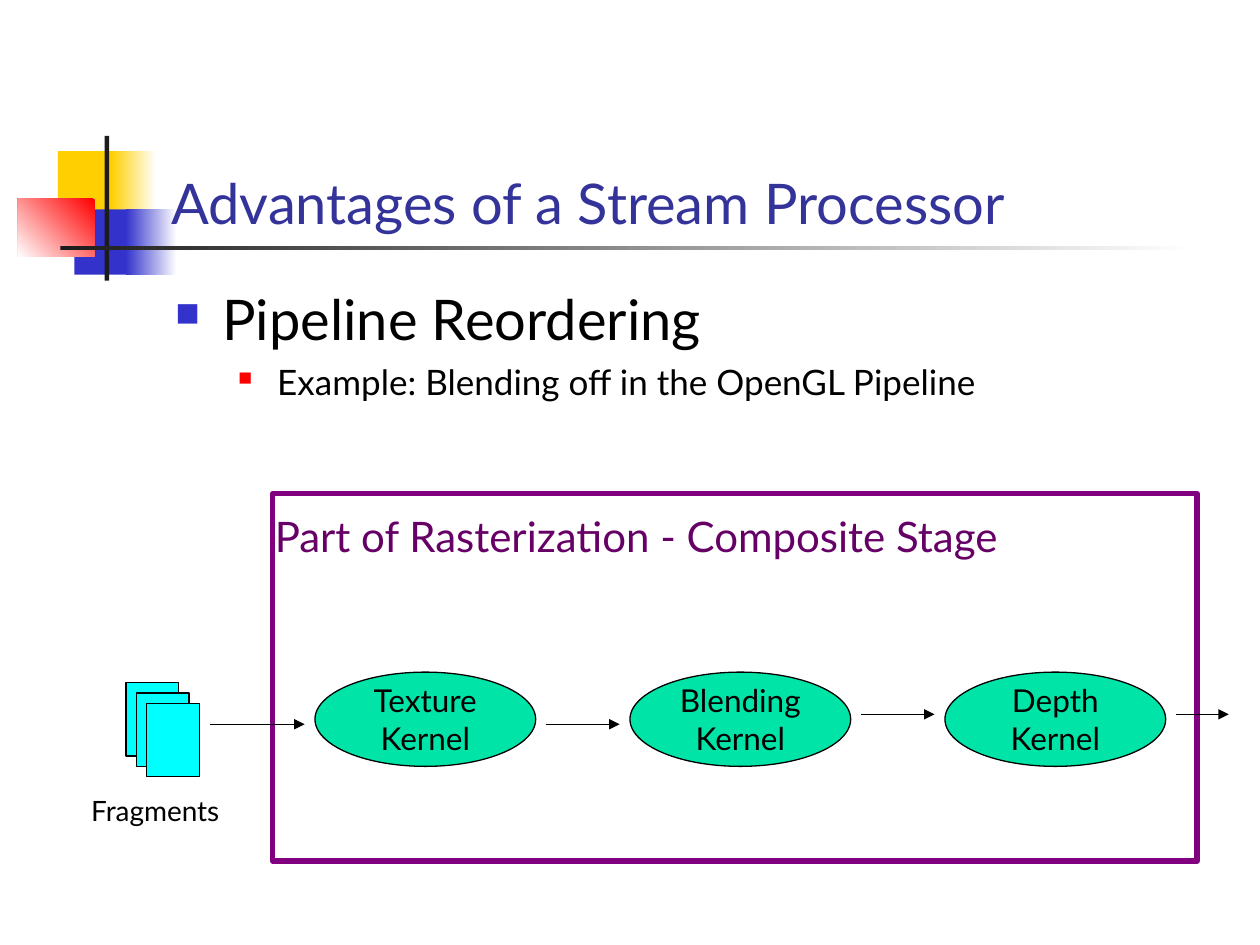
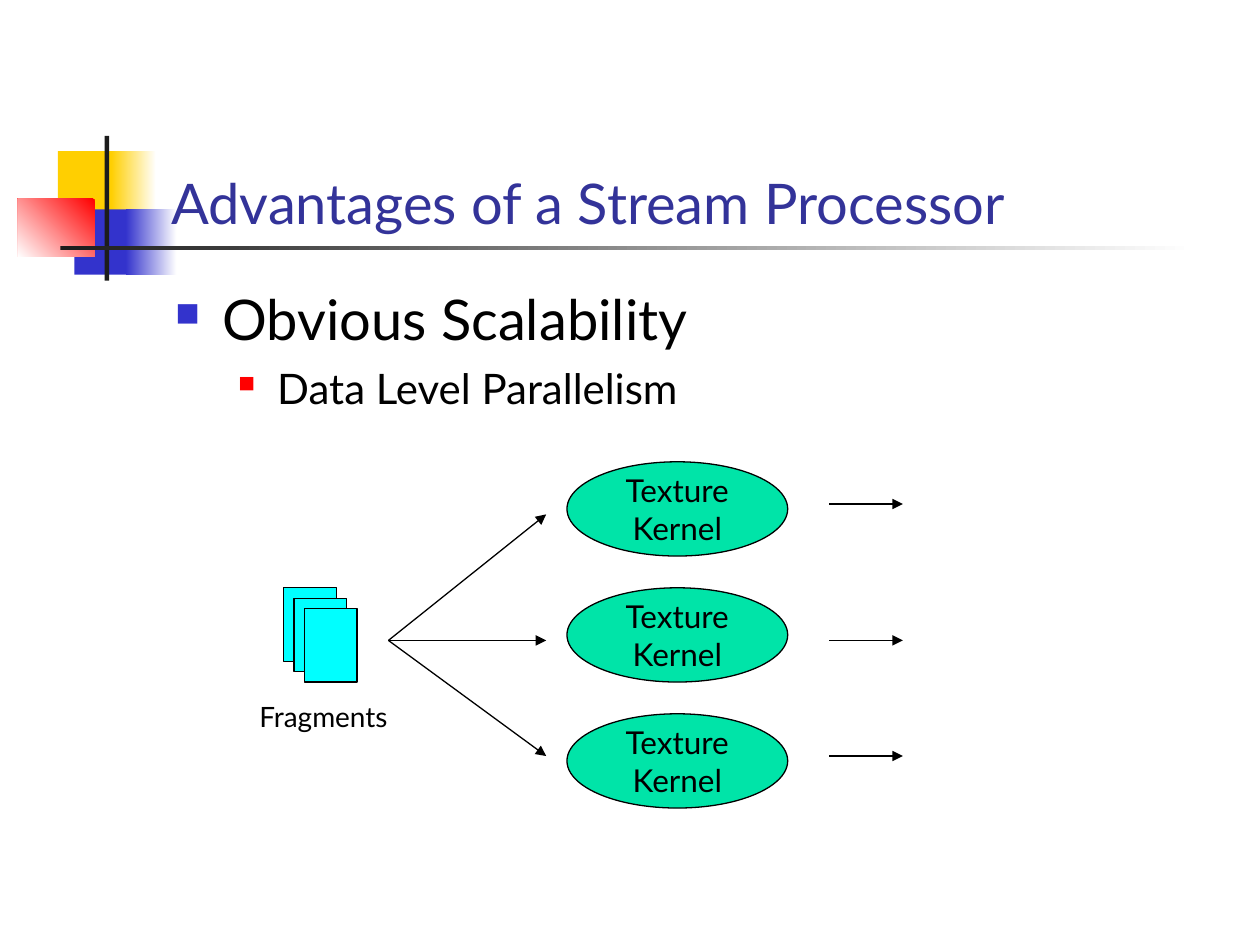
from lxml import etree
from pptx import Presentation
from pptx.dml.color import RGBColor
from pptx.enum.shapes import MSO_CONNECTOR, MSO_SHAPE
from pptx.enum.text import MSO_ANCHOR, PP_ALIGN
from pptx.oxml.ns import qn
from pptx.util import Cm, Pt

RECTANGLE, ELLIPSE = MSO_SHAPE.RECTANGLE, MSO_SHAPE.OVAL
STRAIGHT = MSO_CONNECTOR.STRAIGHT
LEFT, CENTER = PP_ALIGN.LEFT, PP_ALIGN.CENTER
TOP, MIDDLE, BOTTOM = MSO_ANCHOR.TOP, MSO_ANCHOR.MIDDLE, MSO_ANCHOR.BOTTOM

WHITE = RGBColor(0xFF, 0xFF, 0xFF)
BLACK = RGBColor(0x00, 0x00, 0x00)
YELLOW = RGBColor(0xFF, 0xCF, 0x01)
BLUE = RGBColor(0x33, 0x33, 0xCC)
RED = RGBColor(0xFF, 0x00, 0x00)
CHARCOAL = RGBColor(0x1C, 0x1C, 0x1C)
TITLE_BLUE = RGBColor(0x33, 0x33, 0x99)
FRAME_PURPLE = RGBColor(0x80, 0x00, 0x80)
CAPTION_PURPLE = RGBColor(0x66, 0x00, 0x66)
KERNEL_GREEN = RGBColor(0x00, 0xE4, 0xA8)
PAGE_CYAN = RGBColor(0x00, 0xFF, 0xFF)

FONT = "Lato"
TITLE = "Advantages of a Stream Processor"
KERNEL_WIDTH, KERNEL_HEIGHT = 4.45, 1.9

# Left, top, width, height, colour, angle of the fade to white (None: solid)
ORNAMENT = [
    (1.17, 3.05, 1.22, 1.32, YELLOW, None),
    (2.24, 3.05, 0.91, 1.32, YELLOW, 0),
    (1.5, 4.22, 1.17, 1.32, BLUE, None),
    (2.54, 4.22, 1.02, 1.32, BLUE, 0),
    (0.36, 4.01, 1.55, 1.17, RED, 225),
    (2.11, 2.74, 0.09, 2.92, CHARCOAL, None),
    (1.22, 4.95, 22.86, 0.09, CHARCOAL, 0),
]


def write(paragraph, text, size=18, color=BLACK, align=LEFT, space_before=0):
    paragraph.alignment = align
    paragraph.space_before = Pt(space_before)
    run = paragraph.add_run()
    run.text = text
    run.font.name = FONT
    run.font.size = Pt(size)
    run.font.color.rgb = color


def add_bullet(paragraph, color, percent, margin, hanging):
    properties = paragraph._p.get_or_add_pPr()
    properties.set("marL", str(Cm(margin)))
    properties.set("indent", str(-Cm(hanging)))
    bullet_color = etree.SubElement(properties, qn("a:buClr"))
    etree.SubElement(bullet_color, qn("a:srgbClr"), val=str(color))
    etree.SubElement(properties, qn("a:buSzPct"), val=str(percent * 1000))
    etree.SubElement(properties, qn("a:buChar"), char="■")


class Deck:
    def __init__(self):
        self.presentation = Presentation()
        self.presentation.slide_width = Cm(25.4)
        self.presentation.slide_height = Cm(19.05)
        self.shapes = None

    def slide(self, heading, detail, detail_size, detail_space):
        """Start a slide with the ornament, title and two bullet levels."""
        blank = self.presentation.slide_layouts[6]
        self.shapes = self.presentation.slides.add_slide(blank).shapes
        for left, top, width, height, color, angle in ORNAMENT:
            self.box(RECTANGLE, left, top, width, height, color, fade=angle)
        self.text(3.2, 1.7, 21.64, 3.18, TITLE, anchor=BOTTOM, size=32, color=TITLE_BLUE)

        body = self.text(3.28, 5.61, 21.59, 11.43)
        first = body.paragraphs[0]
        add_bullet(first, BLUE, 60, margin=0.95, hanging=0.95)
        write(first, heading, size=32)
        second = body.add_paragraph()
        second.level = 1
        add_bullet(second, RED, 55, margin=2.06, hanging=0.79)
        write(second, detail, size=detail_size, space_before=detail_space)

    def box(self, kind, left, top, width, height, color, line=None, line_width=0.75, fade=None):
        shape = self.shapes.add_shape(kind, Cm(left), Cm(top), Cm(width), Cm(height))
        shape.shadow.inherit = False
        if fade is None:
            shape.fill.solid()
            shape.fill.fore_color.rgb = color
        else:
            shape.fill.gradient()
            shape.fill.gradient_angle = fade
            for stop, stop_color in zip(shape.fill.gradient_stops, (color, WHITE)):
                stop.color.rgb = stop_color
        if line is None:
            shape.line.fill.background()
        else:
            shape.line.color.rgb = line
            shape.line.width = Pt(line_width)
        return shape

    def text(self, left, top, width, height, words=None, anchor=TOP, **style):
        frame = self.shapes.add_textbox(Cm(left), Cm(top), Cm(width), Cm(height)).text_frame
        frame.word_wrap = True
        frame.vertical_anchor = anchor
        if words:
            write(frame.paragraphs[0], words, **style)
        return frame

    def kernel(self, left, top, task):
        ellipse = self.box(ELLIPSE, left, top, KERNEL_WIDTH, KERNEL_HEIGHT, KERNEL_GREEN, BLACK)
        frame = ellipse.text_frame
        frame.word_wrap = False
        frame.vertical_anchor = MIDDLE
        write(frame.paragraphs[0], task, align=CENTER)
        write(frame.add_paragraph(), "Kernel", align=CENTER)

    def arrow(self, x1, y1, x2, y2):
        connector = self.shapes.add_connector(STRAIGHT, Cm(x1), Cm(y1), Cm(x2), Cm(y2))
        connector.line.color.rgb = BLACK
        connector.line.width = Pt(0.75)
        etree.SubElement(connector.line._get_or_add_ln(), qn("a:tailEnd"), type="triangle")
        etree.SubElement(connector._element.spPr, qn("a:effectLst"))

    def fragments(self, left, top, label_left):
        """Draw a stack of three pages with its label below."""
        for page in range(3):
            shift = 0.21 * page
            self.box(RECTANGLE, left + shift, top + shift, 1.06, 1.48, PAGE_CYAN, BLACK)
        self.text(label_left, top + 2.12, 3.35, 0.94, "Fragments", size=16)


def build_reordering(deck):
    deck.slide("Pipeline Reordering", "Example: Blending off in the OpenGL Pipeline", 20, 5)

    # Composite stage
    deck.box(RECTANGLE, 5.5, 9.95, 18.63, 7.41, WHITE, FRAME_PURPLE, line_width=3)
    deck.text(5.29, 10.16, 16.03, 1.27, "Part of Rasterization - Composite Stage",
              size=24, color=CAPTION_PURPLE)
    for column, task in enumerate(("Texture", "Blending", "Depth")):
        deck.kernel(6.35 * (column + 1), 13.55, task)

    # Flow from the fragments through the kernels
    for start, end, y in ((4.23, 6.14, 14.6), (11, 12.49, 14.6),
                          (17.36, 18.84, 14.4), (23.71, 24.77, 14.4)):
        deck.arrow(start, y, end, y)
    deck.fragments(2.54, 13.76, label_left=1.59)


def build_scalability(deck):
    deck.slide("Obvious Scalability", "Data Level Parallelism", 24, 6)

    # Parallel kernels, each with an arrow in and an arrow out
    for row, (y_in, y_out) in enumerate(((10.37, 10.16), (12.91, 12.91), (15.24, 15.24))):
        deck.kernel(11.43, 9.31 + 2.54 * row, "Texture")
        deck.arrow(7.83, 12.91, 11.01, y_in)
        deck.arrow(16.72, y_out, 18.2, y_out)
    deck.fragments(5.72, 11.85, label_left=4.98)


def main():
    deck = Deck()
    build_reordering(deck)
    build_scalability(deck)
    deck.presentation.save("out.pptx")


if __name__ == "__main__":
    main()
